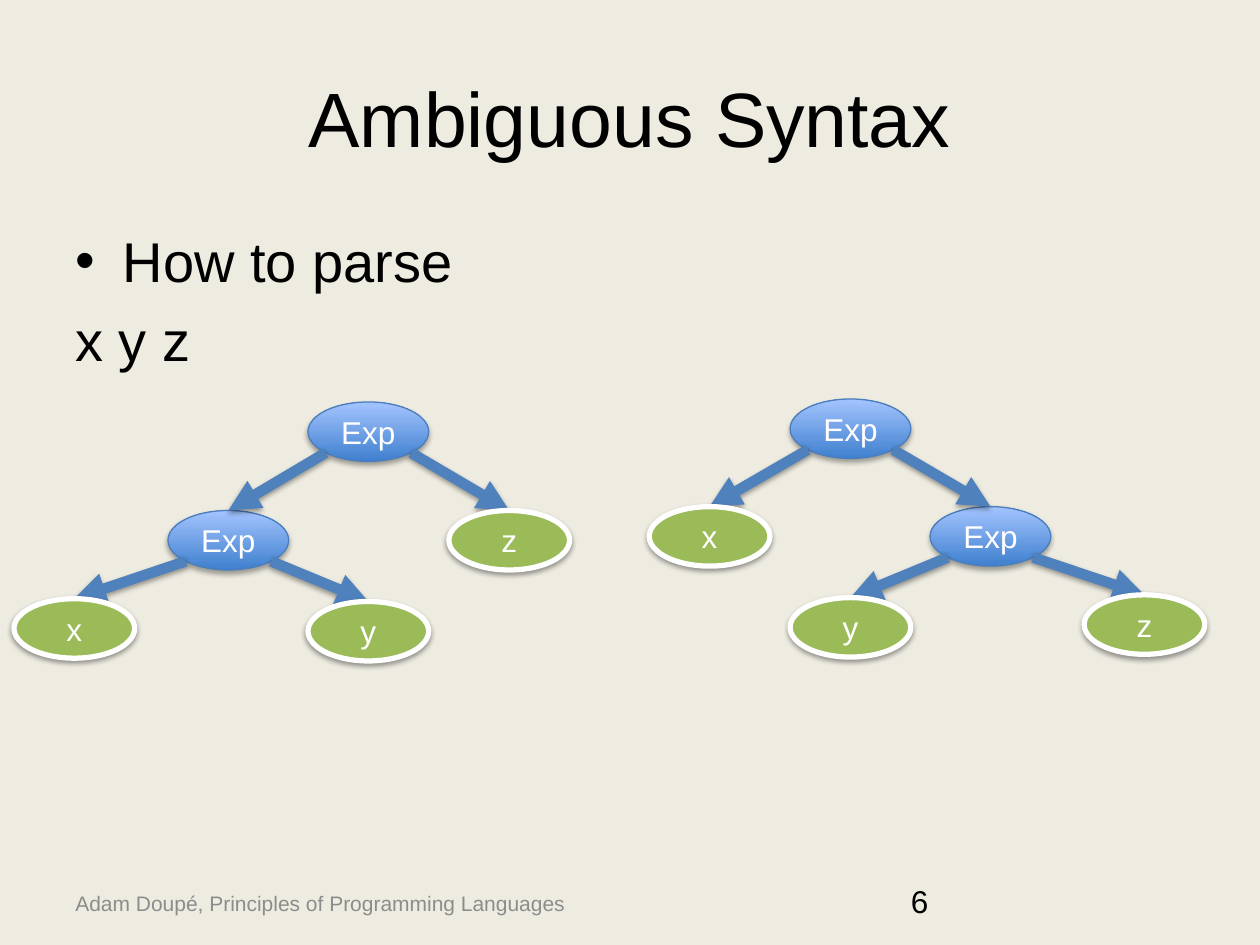
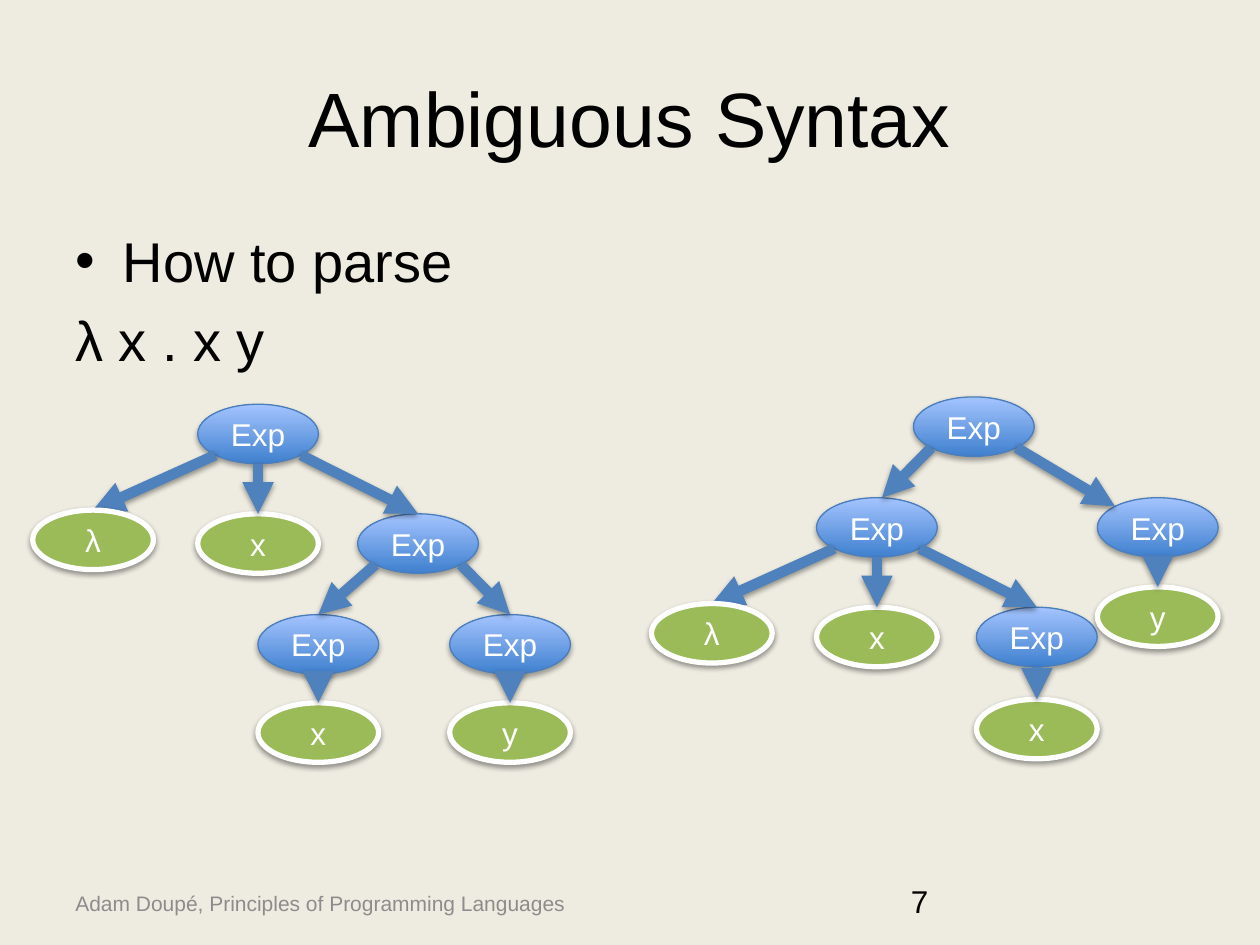
import typing

import lxml.etree
import pptx
import pptx.dml.color
import pptx.enum.shapes
import pptx.enum.text
import pptx.oxml.ns
import pptx.util

Pt = pptx.util.Pt
RGBColor = pptx.dml.color.RGBColor
ALIGN = pptx.enum.text.PP_ALIGN
ANCHOR = pptx.enum.text.MSO_ANCHOR
qn = pptx.oxml.ns.qn

BACKGROUND = RGBColor(0xEE, 0xEC, 0xE1)
INK = RGBColor(0, 0, 0)
FOOTER_GREY = RGBColor(0x8C, 0x8C, 0x8C)
WHITE = RGBColor(0xFF, 0xFF, 0xFF)
EXP_DARK = RGBColor(0x3F, 0x80, 0xCE)
EXP_LIGHT = RGBColor(0xA4, 0xC4, 0xFF)
EXP_OUTLINE = RGBColor(0x4B, 0x7E, 0xBC)
ARROW_BLUE = RGBColor(0x4F, 0x81, 0xBD)
LEAF_GREEN = RGBColor(0x9B, 0xBB, 0x59)

FONT = "Arial"
NODE_W, NODE_H = 69, 34
DIAGONAL = 0.354  # share of width or height from centre to the 45° point


class Node(typing.NamedTuple):
    """A tree node, offset from its parent (the root: from the tree's box)."""
    label: str
    dx: float
    drop: float
    children: tuple = ()
    entry: tuple = (0, 0)  # where the arrow lands, from the top centre


def exp(dx, drop, *children, entry=(0, 0)):
    return Node("Exp", dx, drop, children, entry)


def abstraction(dx, drop, body, entry=(0, 0)):
    """λ x . body"""
    return exp(dx, drop, Node("λ", -94.3, 60.5), Node("x", 0, 62.6), body, entry=entry)


# Two readings of each expression: (left, top) of the tree's box, and its root
APPLICATION_TREES = [
    ((8, 229.7), exp(168, 0,
                     exp(-80, 62, Node("x", -88, 50.4), Node("y", 80, 52)),
                     Node("z", 80.5, 62))),
    ((371, 228), exp(80.5, 0,
                     Node("x", -80.5, 61.5),
                     exp(80, 61.5, Node("y", -80, 52), Node("z", 88, 50.4)))),
]
ABSTRACTION_TREES = [
    ((18.7, 231), abstraction(94.3, 0, exp(
        91.4, 62.6,
        exp(-57, 57.6, Node("x", 0, 50.4)),
        exp(52.6, 57.6, Node("y", 0, 50.4))))),
    ((372.2, 226.8), exp(
        149.8, 0,
        abstraction(-55.4, 57.6, exp(91.4, 62.6, Node("x", 0, 52.6)), entry=(2.9, 0)),
        exp(105.1, 57.6, Node("y", 0, 51),
            entry=(-DIAGONAL * NODE_W, (0.5 - DIAGONAL) * NODE_H)))),
]


def style(paragraph, size, color, align=ALIGN.LEFT):
    paragraph.alignment = align
    paragraph.font.name = FONT
    paragraph.font.size = Pt(size)
    paragraph.font.color.rgb = color


def add_text(slide, box, lines, size, color=INK, align=ALIGN.LEFT, anchor=ANCHOR.TOP):
    frame = slide.shapes.add_textbox(*map(Pt, box)).text_frame
    frame.word_wrap = True
    frame.vertical_anchor = anchor
    frame.text = "\n".join(lines)
    for paragraph in frame.paragraphs:
        style(paragraph, size, color, align)
    return frame


def add_shadow(shape, distance, opacity):
    properties = shape._element.spPr
    effects = properties.find(qn("a:effectLst"))
    if effects is None:
        effects = lxml.etree.SubElement(properties, qn("a:effectLst"))
    shadow = lxml.etree.SubElement(
        effects, qn("a:outerShdw"), blurRad=str(Pt(3.1)), dist=str(Pt(distance)),
        dir="5400000", rotWithShape="0")
    black = lxml.etree.SubElement(shadow, qn("a:srgbClr"), val="000000")
    lxml.etree.SubElement(black, qn("a:alpha"), val=str(opacity * 1000))


def add_node(slide, node, x, y):
    oval = slide.shapes.add_shape(
        pptx.enum.shapes.MSO_SHAPE.OVAL, Pt(x), Pt(y), Pt(NODE_W), Pt(NODE_H))
    oval.shadow.inherit = False
    if node.children:
        oval.fill.gradient()
        oval.fill.gradient_angle = 90
        for stop, color in zip(oval.fill.gradient_stops, (EXP_DARK, EXP_LIGHT)):
            stop.color.rgb = color
        oval.line.color.rgb, oval.line.width = EXP_OUTLINE, Pt(0.75)
        add_shadow(oval, 1.8, 35)
    else:
        oval.fill.solid()
        oval.fill.fore_color.rgb = LEAF_GREEN
        oval.line.color.rgb, oval.line.width = WHITE, Pt(3)
        add_shadow(oval, 1.6, 38)
    frame = oval.text_frame
    frame.word_wrap = False
    frame.vertical_anchor = ANCHOR.MIDDLE
    frame.text = node.label
    style(frame.paragraphs[0], 18, WHITE, ALIGN.CENTER)


def add_arrow(slide, child, x, y):
    """Arrow to the child at x, y from the facing lower edge of its parent."""
    side = (child.dx > 0) - (child.dx < 0)
    reach = DIAGONAL if side else 0.5
    center = x + NODE_W / 2
    start_x = center - child.dx + side * DIAGONAL * NODE_W
    start_y = y - child.drop + (0.5 + reach) * NODE_H
    arrow = slide.shapes.add_connector(
        pptx.enum.shapes.MSO_CONNECTOR.STRAIGHT, Pt(start_x), Pt(start_y),
        Pt(center + child.entry[0]), Pt(y + child.entry[1]))
    arrow.line.color.rgb, arrow.line.width = ARROW_BLUE, Pt(6)
    lxml.etree.SubElement(arrow.line._get_or_add_ln(), qn("a:tailEnd"), type="triangle")
    add_shadow(arrow, 1.6, 38)


def place(node, x, y):
    """Yield each node under this one with its left and top."""
    x, y = x + node.dx, y + node.drop
    yield node, x, y
    for child in node.children:
        yield from place(child, x, y)


def add_tree(slide, origin, root):
    placed = list(place(root, *origin))
    below_root = placed[1:]
    # Leaves cover the slanted arrows; upright arrows lie on top
    for spot in placed:
        if spot[0].children:
            add_node(slide, *spot)
    for spot in below_root:
        if spot[0].dx:
            add_arrow(slide, *spot)
    for spot in placed:
        if not spot[0].children:
            add_node(slide, *spot)
    for spot in below_root:
        if not spot[0].dx:
            add_arrow(slide, *spot)


def add_question(slide, box, expression):
    """The bulleted prompt and the expression below it."""
    frame = add_text(slide, box, ["How to parse", expression], 32)
    for paragraph in frame.paragraphs:
        paragraph.space_before = Pt(6.4)
    prompt = frame.paragraphs[0]._p.get_or_add_pPr()
    prompt.set("marL", str(Pt(27)))
    prompt.set("indent", str(Pt(-27)))
    lxml.etree.SubElement(prompt, qn("a:buFont"), typeface=FONT)
    lxml.etree.SubElement(prompt, qn("a:buChar"), char="•")
    # Bullet elements stand before the default run properties
    run_defaults = prompt.find(qn("a:defRPr"))
    if run_defaults is not None:
        prompt.append(run_defaults)


def add_footer(slide, left, top, number):
    add_text(slide, (left, top + 1.5, 306.7, 28.8),
             ["Adam Doupé, Principles of Programming Languages"],
             12, FOOTER_GREY, anchor=ANCHOR.MIDDLE)
    add_text(slide, (left + 477.4, top, 168, 28.8), [str(number)], 18)


def add_syntax_slide(deck, number, expression, trees):
    slide = deck.slides.add_slide(deck.slide_layouts[6])
    add_footer(slide, 36, 500.4, number)
    add_text(slide, (36, 21.6, 648, 90), ["Ambiguous Syntax"], 44,
             align=ALIGN.CENTER, anchor=ANCHOR.MIDDLE)
    add_question(slide, (36, 126, 648, 356.4), expression)
    for origin, root in trees:
        add_tree(slide, origin, root)


def main():
    deck = pptx.Presentation()
    deck.slide_width, deck.slide_height = Pt(720), Pt(540)
    backdrop = deck.slide_master.background.fill
    backdrop.solid()
    backdrop.fore_color.rgb = BACKGROUND
    add_syntax_slide(deck, 6, "x y z", APPLICATION_TREES)
    add_syntax_slide(deck, 7, "λ x . x y", ABSTRACTION_TREES)
    deck.save("out.pptx")


if __name__ == "__main__":
    main()
